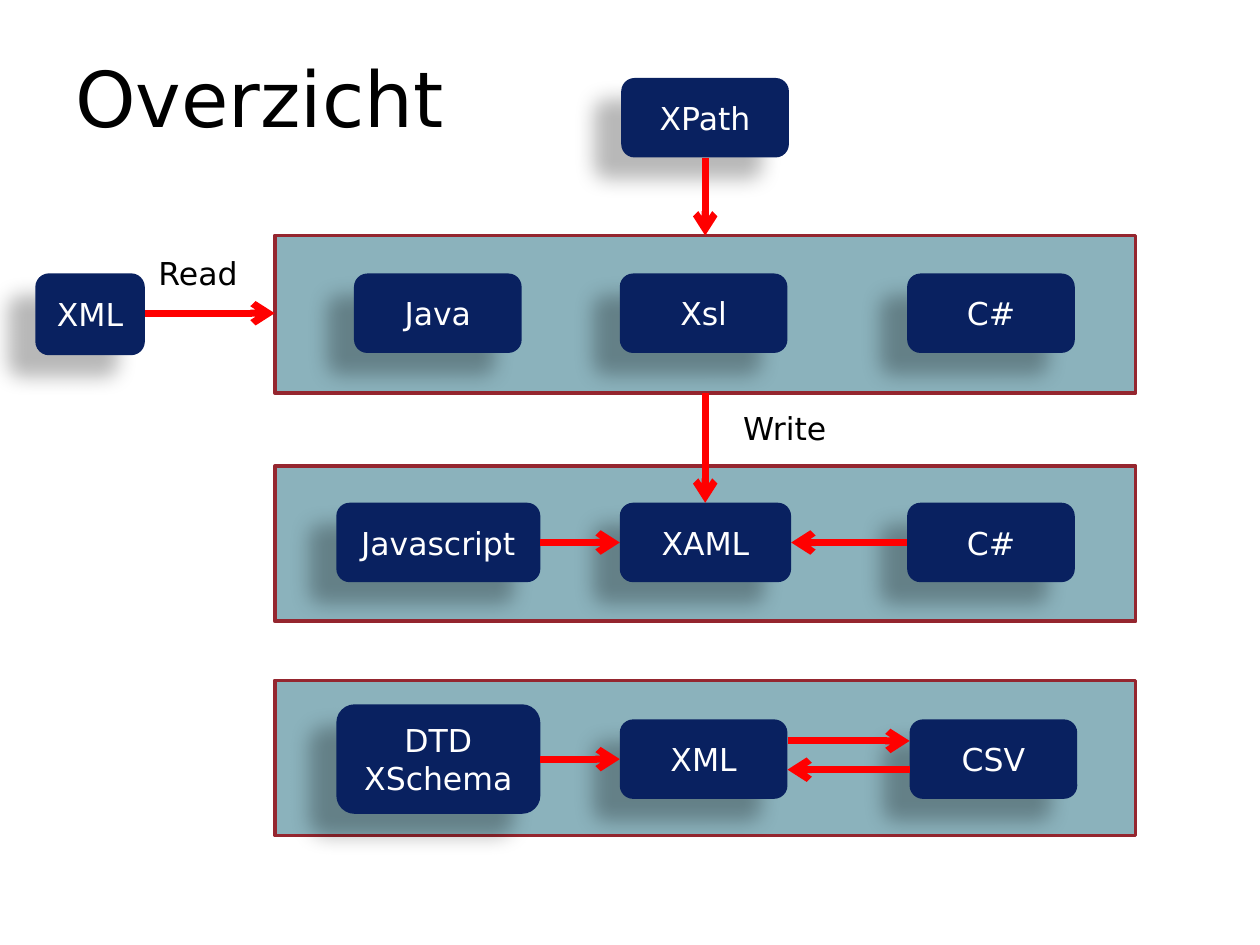
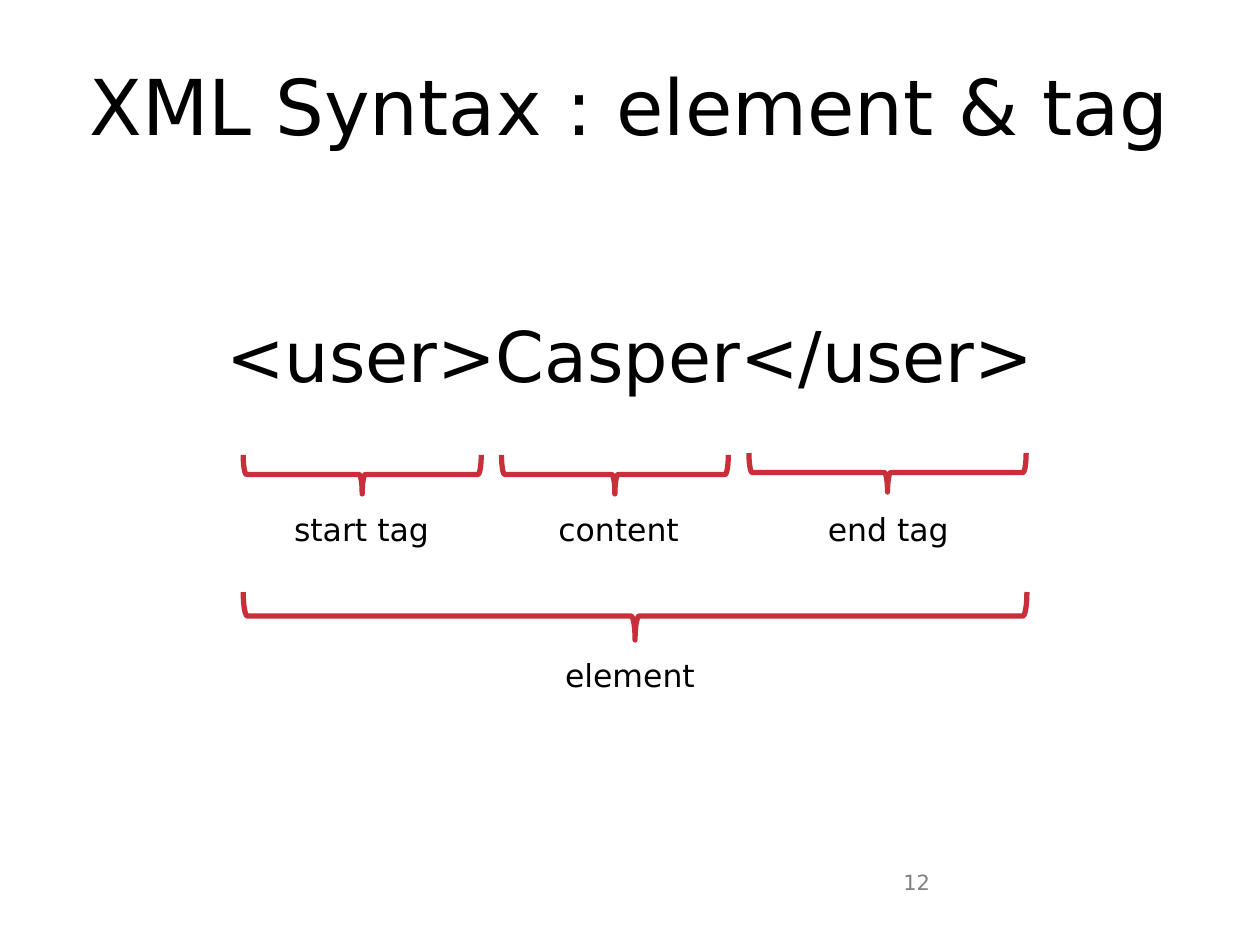
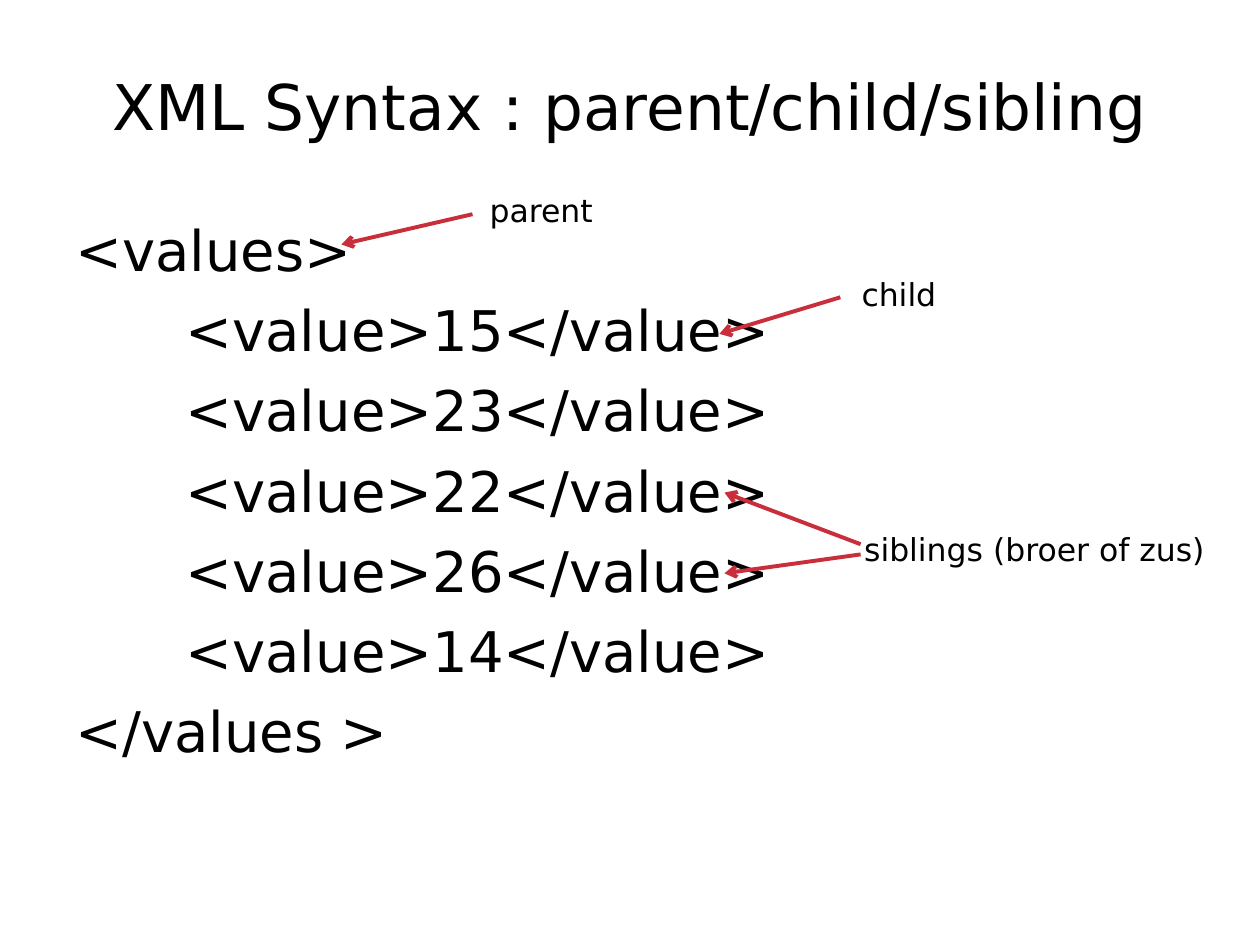
from lxml import etree
from pptx import Presentation
from pptx.dml.color import RGBColor
from pptx.enum.shapes import MSO_CONNECTOR, MSO_SHAPE
from pptx.enum.text import MSO_ANCHOR, MSO_AUTO_SIZE, PP_ALIGN
from pptx.oxml.ns import qn
from pptx.util import Pt

# Shared look
FONT = "DejaVu Sans"
BLACK = RGBColor(0x00, 0x00, 0x00)
WHITE = RGBColor(0xFF, 0xFF, 0xFF)
GREY = RGBColor(0x80, 0x80, 0x80)
NAVY = RGBColor(0x09, 0x21, 0x60)
TEAL = RGBColor(0x8B, 0xB2, 0xBC)
MAROON = RGBColor(0x95, 0x26, 0x2F)
RED = RGBColor(0xFF, 0x00, 0x00)
CRIMSON = RGBColor(0xC9, 0x2E, 0x3B)
LEFT, CENTER = PP_ALIGN.LEFT, PP_ALIGN.CENTER
TOP, MIDDLE = MSO_ANCHOR.TOP, MSO_ANCHOR.MIDDLE
ROUNDED, ALTERNATE = MSO_SHAPE.ROUNDED_RECTANGLE, MSO_SHAPE.FLOWCHART_ALTERNATE_PROCESS
MARGIN, CONTENT_WIDTH, TITLE_HEIGHT = 36, 648, 90
LABEL_SIZE, LABEL_HEIGHT = 18, 28.8

# Slide 1: overview
BAND_LEFT, BAND_WIDTH = 157, 492
BANDS = [(134.6, 90), (266.4, 88.6), (388.8, 88.6)]  # top, height
NODE_WIDTH, NODE_HEIGHT = 95.8, 45.4
ROW_1, ROW_2, ROW_3 = 179, 310, 433.8  # middles of the rows
NODES = {  # lines, left, middle, width, height
    "source": (["XML"], 20.2, 179.6, 62.6, 46.8),
    "xpath": (["XPath"], 355, 67.3, NODE_WIDTH, NODE_HEIGHT),
    "java": (["Java"], 202.3, ROW_1, NODE_WIDTH, NODE_HEIGHT),
    "xsl": (["Xsl"], 354.2, ROW_1, NODE_WIDTH, NODE_HEIGHT),
    "reader": (["C#"], 518.4, ROW_1, NODE_WIDTH, NODE_HEIGHT),
    "javascript": (["Javascript"], 192.2, ROW_2, 116.6, NODE_HEIGHT),
    "xaml": (["XAML"], 354.2, ROW_2, 97.9, NODE_HEIGHT),
    "code": (["C#"], 518.4, ROW_2, NODE_WIDTH, NODE_HEIGHT),
    "schema": (["DTD", "XSchema"], 192.2, ROW_3, 116.6, 62.6),
    "xml": (["XML"], 354.2, ROW_3, NODE_WIDTH, NODE_HEIGHT),
    "csv": (["CSV"], 519.8, ROW_3, NODE_WIDTH, NODE_HEIGHT),
}
SIDEWAYS = [  # from, to, shift down from the middle
    ("javascript", "xaml", 0),
    ("code", "xaml", 0),
    ("csv", "xml", 6),
    ("xml", "csv", -10.4),
    ("schema", "xml", 0),
]
FLOW_LABELS = [("Read", 83.5, 141.8), ("Write", 417.6, 230.4)]

# Slide 2: parts of an element
BRACES = [  # label, label middle, brace left, right, middle, depth, label top
    ("start tag", 206.6, 139, 275, 271.1, 22.3, 288),
    ("content", 353.5, 286.6, 416.2, 271.1, 22.3, 288),
    ("end tag", 507.6, 428, 586.4, 270, 22.3, 288),
    ("element", 360, 139, 586.8, 352, 27.4, 371.5),
]

# Slide 3: relations between elements
VALUES = [15, 23, 22, 26, 14]
CHILD_INDENT = 63
RELATIONS = [  # label, left, top, width, alignment, arrows
    ("parent", 270, 105.8, 78.5, CENTER, [(270, 122.4, 195.1, 139.7)]),
    ("child", 480.2, 153.4, 67, CENTER, [(480.2, 169.9, 411.1, 190.8)]),
    ("siblings (broer of zus)", 486.7, 299.5, 219.6, LEFT,
     [(491.8, 311, 414, 281.5), (491.8, 316.8, 414, 327.6)]),
]


def write(frame, lines, size, color=BLACK, align=LEFT, anchor=TOP):
    frame.word_wrap = True
    frame.vertical_anchor = anchor
    frame.text = "\n".join(lines)
    for paragraph in frame.paragraphs:
        paragraph.alignment = align
        paragraph.font.name = FONT
        paragraph.font.size = Pt(size)
        paragraph.font.color.rgb = color


def add_text(slide, lines, left, top, width, height, size, **style):
    box = slide.shapes.add_textbox(Pt(left), Pt(top), Pt(width), Pt(height))
    write(box.text_frame, lines, size, **style)
    return box.text_frame


def add_title(slide, text, size=44, top=15, align=CENTER):
    add_text(slide, [text], MARGIN, top, CONTENT_WIDTH, TITLE_HEIGHT, size,
             align=align, anchor=MIDDLE)


def add_label(slide, text, left, top, width, align=CENTER):
    frame = add_text(slide, [text], left, top, width, LABEL_HEIGHT, LABEL_SIZE, align=align)
    frame.auto_size = MSO_AUTO_SIZE.SHAPE_TO_FIT_TEXT


def add_shape(slide, preset, left, top, width, height, fill=None, line=None, weight=1):
    shape = slide.shapes.add_shape(preset, Pt(left), Pt(top), Pt(width), Pt(height))
    shape.shadow.inherit = False
    if fill is None:
        shape.fill.background()
    else:
        shape.fill.solid()
        shape.fill.fore_color.rgb = fill
    if line is None:
        shape.line.fill.background()
    else:
        shape.line.color.rgb = line
        shape.line.width = Pt(weight)
    return shape


def add_node(slide, preset, lines, left, middle, width, height):
    node = add_shape(slide, preset, left, middle - height / 2, width, height, NAVY)
    write(node.text_frame, lines, LABEL_SIZE, WHITE, CENTER, MIDDLE)
    # Soft shadow to the lower left
    effects = node._element.spPr.find(qn("a:effectLst"))
    shadow = etree.SubElement(effects, qn("a:outerShdw"), blurRad=str(Pt(11.8)),
                              dist=str(Pt(19.7)), dir=str(141 * 60000),
                              algn="ctr", rotWithShape="0")
    shade = etree.SubElement(shadow, qn("a:srgbClr"), val=str(BLACK))
    etree.SubElement(shade, qn("a:alpha"), val="28000")


def add_arrow(slide, x1, y1, x2, y2, color, weight):
    arrow = slide.shapes.add_connector(MSO_CONNECTOR.STRAIGHT, Pt(x1), Pt(y1), Pt(x2), Pt(y2))
    arrow.line.color.rgb = color
    arrow.line.width = Pt(weight)
    etree.SubElement(arrow.line._get_or_add_ln(), qn("a:tailEnd"), type="arrow")
    etree.SubElement(arrow._element.spPr, qn("a:effectLst"))


def build_overview(slide):
    for top, height in BANDS:
        add_shape(slide, MSO_SHAPE.RECTANGLE, BAND_LEFT, top, BAND_WIDTH, height,
                  TEAL, MAROON, 2)
    add_title(slide, "Overzicht", top=10, align=LEFT)
    for key, node in NODES.items():
        add_node(slide, ALTERNATE if key == "xpath" else ROUNDED, *node)
    for text, left, top in FLOW_LABELS:
        add_label(slide, text, left, top, 66, LEFT)

    # Arrows into and out of the first band
    band_top, band_height = BANDS[0]
    center = BAND_LEFT + BAND_WIDTH / 2
    source_right = NODES["source"][1] + NODES["source"][3]
    flows = [
        (center, NODES["xpath"][2] + NODE_HEIGHT / 2, center, band_top),
        (center, band_top + band_height, center, ROW_2 - NODE_HEIGHT / 2),
        (source_right, ROW_1, BAND_LEFT, ROW_1),
    ]
    # Arrows between neighbours in a row
    for start, end, shift in SIDEWAYS:
        _, start_left, middle, start_width, _ = NODES[start]
        _, end_left, _, end_width, _ = NODES[end]
        y = middle + shift
        if start_left < end_left:
            flows.append((start_left + start_width, y, end_left, y))
        else:
            flows.append((start_left, y, end_left + end_width, y))
    for flow in flows:
        add_arrow(slide, *flow, RED, 4)


def build_element(slide):
    add_title(slide, "XML Syntax : element & tag")
    add_text(slide, ["<user>Casper</user>"], MARGIN, 175, CONTENT_WIDTH, 62, 40, align=CENTER)
    number = add_text(slide, ["12"], 516.2, 496.8, 167.8, 28.8, 12, color=GREY)
    number.margin_left = number.margin_top = number.margin_right = number.margin_bottom = 0

    label_width = 112.3
    for text, label_middle, left, right, middle, depth, label_top in BRACES:
        span = right - left
        # A left brace turned to point down
        brace = add_shape(slide, MSO_SHAPE.LEFT_BRACE, (left + right - depth) / 2,
                          middle - span / 2, depth, span, line=CRIMSON, weight=3)
        brace.rotation = 270
        add_label(slide, text, label_middle - label_width / 2, label_top, label_width)


def build_relations(slide):
    add_title(slide, "XML Syntax : parent/child/sibling", size=36)
    children = [f"<value>{value}</value>" for value in VALUES]
    listing = add_text(slide, ["<values>", *children, "</values >"],
                       MARGIN, 119.5, CONTENT_WIDTH, 356.4, 32)
    for paragraph in listing.paragraphs[1:]:
        paragraph.space_before = Pt(7.45)
    for paragraph in listing.paragraphs[1:-1]:
        paragraph._p.get_or_add_pPr().set("marL", str(Pt(CHILD_INDENT)))

    for text, left, top, width, align, arrows in RELATIONS:
        for arrow in arrows:
            add_arrow(slide, *arrow, CRIMSON, 2.25)
        add_label(slide, text, left, top, width, align)


deck = Presentation()
deck.slide_width, deck.slide_height = Pt(720), Pt(540)
blank = deck.slide_layouts[6]
for build in (build_overview, build_element, build_relations):
    build(deck.slides.add_slide(blank))
deck.save("out.pptx")
